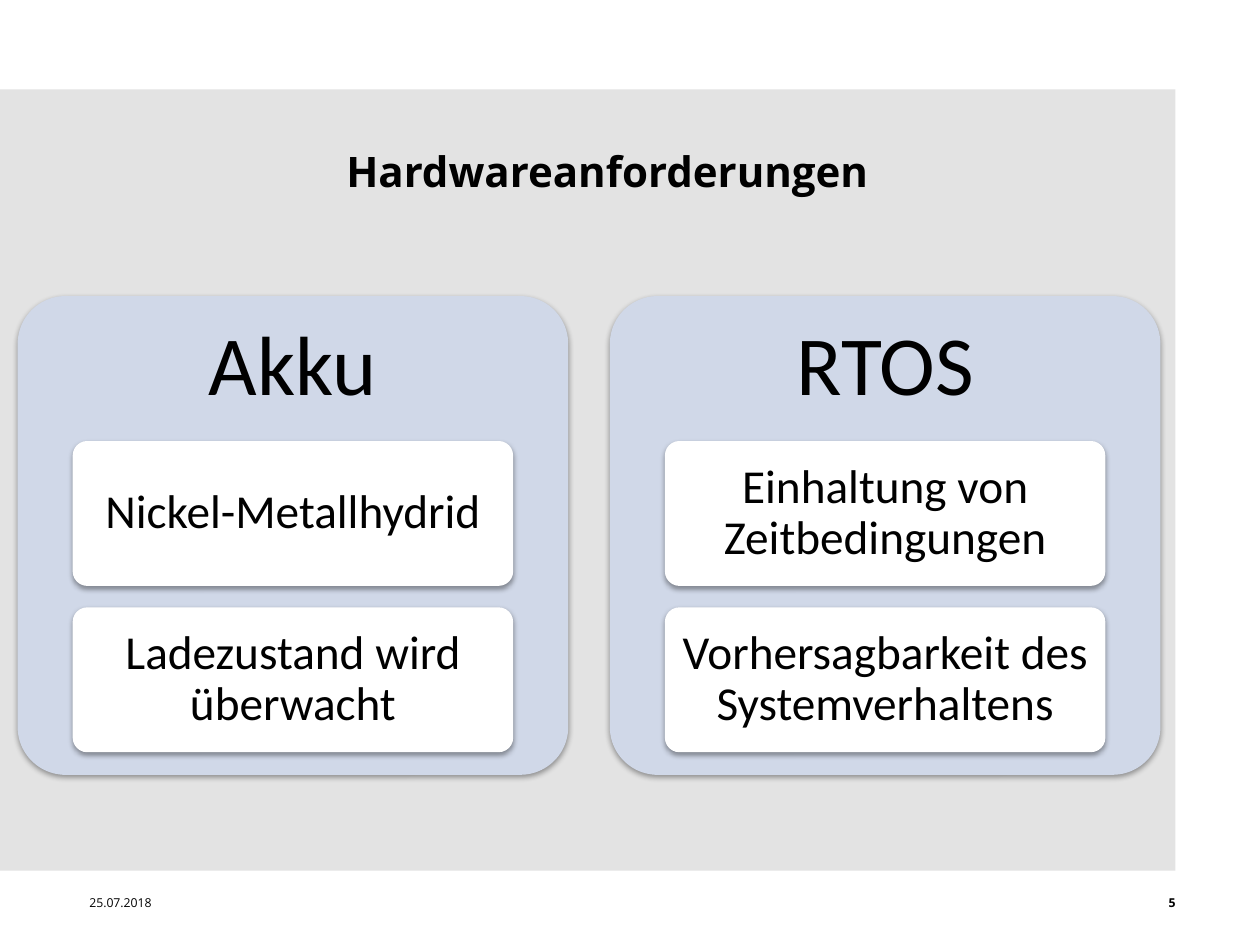
from lxml import etree
from pptx import Presentation, util as u
from pptx.dml.color import RGBColor
from pptx.enum import shapes, text
from pptx.oxml import ns

COLUMNS = [
    ("Akku", ["Nickel-Metallhydrid", "Ladezustand wird überwacht"]),
    ("RTOS", ["Einhaltung von Zeitbedingungen",
              "Vorhersagbarkeit des Systemverhaltens"]),
]
CENTER, LEFT, RIGHT = (text.PP_ALIGN.CENTER, text.PP_ALIGN.LEFT,
                       text.PP_ALIGN.RIGHT)


def color(value):
    """Turn a hex string into a colour."""
    return RGBColor.from_string(value)


def place(shape, box):
    """Set left, top, width and height in inches."""
    shape.left, shape.top, shape.width, shape.height = map(u.Inches, box)


def write(shape, words, size, font="Calibri", bold=False, align=CENTER,
          inset=(0, 0), spacing=1.0):
    """Write one formatted, vertically centred paragraph into a shape."""
    frame = shape.text_frame
    frame.word_wrap = True
    frame.auto_size = text.MSO_AUTO_SIZE.NONE
    frame.vertical_anchor = text.MSO_ANCHOR.MIDDLE
    frame.margin_left = frame.margin_right = u.Inches(inset[0])
    frame.margin_top = frame.margin_bottom = u.Inches(inset[1])
    para = frame.paragraphs[0]
    para.alignment, para.line_spacing = align, spacing
    span = para.add_run()
    span.text = words
    span.font.name, span.font.size, span.font.bold = font, u.Pt(size), bold
    span.font.color.rgb = color("000000")


def add_label(parent, box, words, size, **style):
    """Add a text box."""
    label = parent.add_textbox(*map(u.Inches, box))
    write(label, words, size, **style)


def add_panel(parent, kind, box, fill):
    """Add a filled shape without outline or shadow."""
    panel = parent.add_shape(kind, *map(u.Inches, box))
    panel.shadow.inherit = False
    panel.fill.solid()
    panel.fill.fore_color.rgb = color(fill)
    panel.line.fill.background()
    return panel


def add_raised(parent, box, fill):
    """Add a rounded panel with a soft shadow below it."""
    panel = add_panel(parent, shapes.MSO_SHAPE.ROUNDED_RECTANGLE, box, fill)
    panel.adjustments[0] = 0.1
    effects = panel.element.spPr.find(ns.qn("a:effectLst"))
    shadow = etree.SubElement(
        effects, ns.qn("a:outerShdw"), blurRad=str(u.Pt(3.1)),
        dist=str(u.Pt(1.6)), dir="5400000", rotWithShape="0")
    tint = etree.SubElement(shadow, ns.qn("a:srgbClr"), val="000000")
    etree.SubElement(tint, ns.qn("a:alpha"), val="38000")
    return panel


def add_column(parent, box, heading, items):
    """Add a panel with a heading and stacked cards inside its box."""
    left, top, width, height = box
    head = 0.3 * height
    add_raised(parent, box, "D0D8E8")
    add_label(parent, (left, top, width, head), heading, 48,
              inset=(0.2, 0.2), spacing=0.9)
    for index, item in enumerate(items):
        card = add_raised(parent, (left + 0.1 * width,
                                   top + head + 0.01 + index * 1.32,
                                   0.8 * width, 1.15), "FFFFFF")
        write(card, item, 27, inset=(0.07, 0.06), spacing=0.9)


def add_columns(page, box):
    """Spread the columns over a box with equal gaps, as one group."""
    left, top, width, height = box
    gap = 0.33
    step = (width + gap) / len(COLUMNS)
    group = page.shapes.add_group_shape()
    for index, (heading, items) in enumerate(COLUMNS):
        add_column(group.shapes, (left + index * step, top, step - gap, height),
                   heading, items)


def add_footer(page, box):
    """Add the date at the left and the page number at the right."""
    left, top, width, height = box
    part = 2.33
    add_label(page.shapes, (left, top, part, height), "25.07.2018", 7,
              font="Open Sans", align=LEFT)
    add_label(page.shapes, (left + width - part, top, part, height), "5", 7,
              font="Open Sans", bold=True, align=RIGHT)


def set_title(page, box, words):
    """Move, fill and bring forward the title placeholder."""
    title = page.shapes.title
    place(title, box)
    write(title, words, 24, font="Open Sans", bold=True, inset=(0.1, 0.05))
    title.element.getparent().append(title.element)


def build():
    """Build and save the deck."""
    deck = Presentation()
    deck.slide_width, deck.slide_height = u.Inches(10), u.Inches(7.5)
    page = deck.slides.add_slide(deck.slide_layouts.get_by_name("Title Only"))
    add_panel(page.shapes, shapes.MSO_SHAPE.RECTANGLE,
              (0, 0.71, 9.33, 6.2), "E3E3E3")
    add_columns(page, (0.14, 2.35, 9.07, 3.8))
    add_footer(page, (0.71, 7.1, 8.62, 0.12))
    set_title(page, (0.71, 0.84, 8.22, 1.03), "Hardwareanforderungen")
    deck.save("out.pptx")


build()
